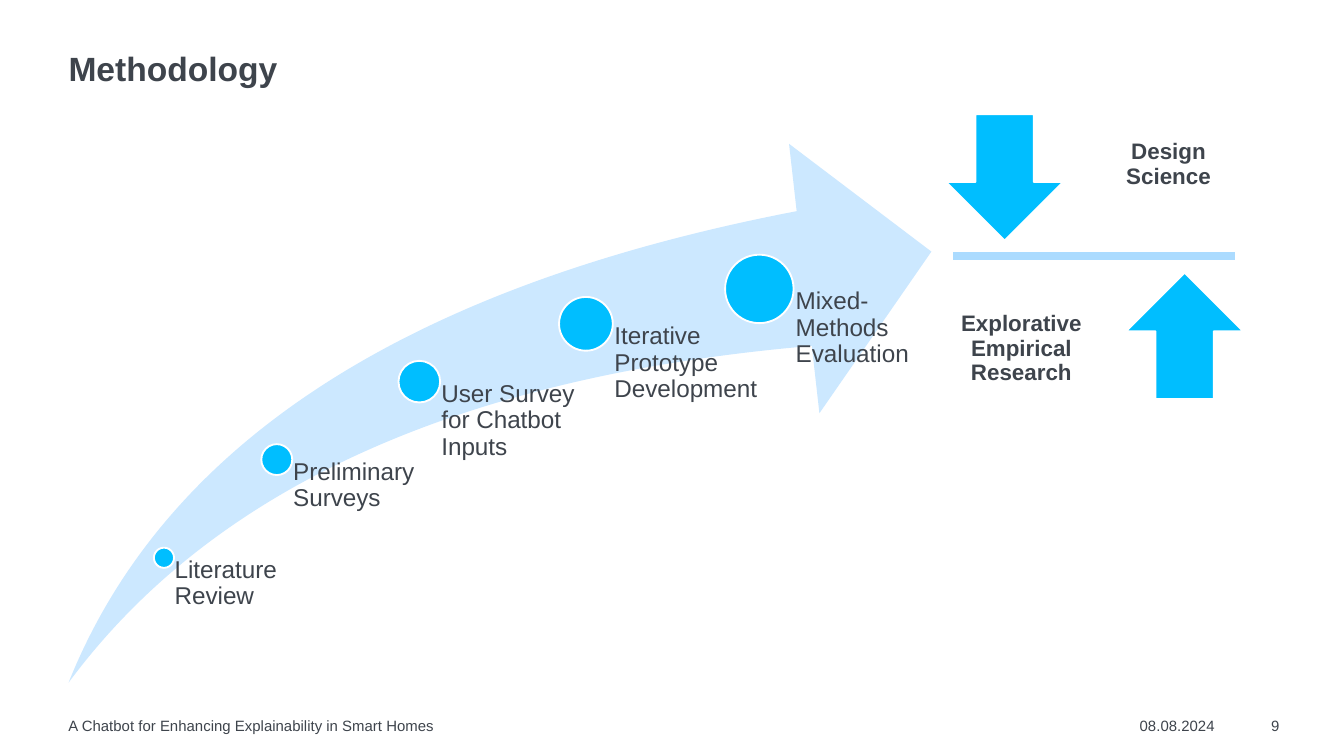
from pptx import Presentation
from pptx.dml.color import RGBColor
from pptx.enum.shapes import MSO_SHAPE
from pptx.enum.text import MSO_ANCHOR, MSO_AUTO_SIZE, PP_ALIGN
from pptx.util import Inches, Pt

SWOOSH, CIRCLE, MINUS = MSO_SHAPE.SWOOSH_ARROW, MSO_SHAPE.OVAL, MSO_SHAPE.MATH_MINUS
DOWN, UP = MSO_SHAPE.DOWN_ARROW, MSO_SHAPE.UP_ARROW
TOP, MIDDLE = MSO_ANCHOR.TOP, MSO_ANCHOR.MIDDLE
LEFT, CENTER, RIGHT = PP_ALIGN.LEFT, PP_ALIGN.CENTER, PP_ALIGN.RIGHT
NO_AUTOFIT = MSO_AUTO_SIZE.NONE

SLIDE_WIDTH = 10
SLIDE_HEIGHT = SLIDE_WIDTH * 9 / 16
FONT, INK, WHITE = "Arial", "3E444C", "FFFFFF"
BLUE, PALE_BLUE, BAR_BLUE = "00BEFF", "CCE8FF", "ABDBFF"

TITLE = ("Methodology", (0.51, 0.39, 9.02, 0.47))
SWOOSH_BOX = (0.51, 1.07, 6.42, 4.01)
LABEL_BOTTOM = 5.1
INSET_RATIO = 0.53

# label, circle centre x, centre y, diameter, label width
STEPS = [
    ("Literature Review", 1.22, 4.15, 0.15, 0.84),
    ("Preliminary Surveys", 2.06, 3.42, 0.23, 1.07),
    ("User Survey for Chatbot Inputs", 3.12, 2.84, 0.31, 1.24),
    ("Iterative Prototype Development", 4.36, 2.41, 0.4, 1.28),
    ("Mixed-Methods Evaluation", 5.65, 2.15, 0.51, 1.28),
]
BALANCE_SHAPES = [
    (MINUS, (6.7, 1.74, 2.88, 0.33), BAR_BLUE),
    (DOWN, (7.04, 0.85, 0.87, 0.94), BLUE),
    (UP, (8.38, 2.03, 0.87, 0.94), BLUE),
]
APPROACHES = [
    ("Design Science", (8.23, 0.73, 0.93, 0.99)),
    ("Explorative Empirical Research", (6.82, 2.1, 1.56, 0.99)),
]
FOOTERS = [
    ("9", (9.28, 5.33, 0.24, 0.13), RIGHT),
    ("08.08.2024", (8.48, 5.33, 0.58, 0.13), LEFT),
    ("A Chatbot for Enhancing Explainability in Smart Homes", (0.51, 5.33, 6.63, 0.13), LEFT),
]


def color(value):
    """Turn a hex string into a colour."""
    return RGBColor.from_string(value)


def write(shape, text, size, bold=False, align=LEFT, anchor=TOP, insets=(0, 0, 0, 0), spacing=0.9):
    """Fill a shape's text frame with one formatted paragraph."""
    frame = shape.text_frame
    frame.word_wrap = True
    frame.auto_size = NO_AUTOFIT
    frame.vertical_anchor = anchor
    frame.margin_left, frame.margin_top, frame.margin_right, frame.margin_bottom = map(Inches, insets)
    paragraph = frame.paragraphs[0]
    paragraph.alignment = align
    paragraph.line_spacing = spacing
    run = paragraph.add_run()
    run.text = text
    run.font.name = FONT
    run.font.size = Pt(size)
    run.font.bold = bold
    run.font.color.rgb = color(INK)


def add_text(slide, box, text, size, **options):
    """Add a text box."""
    write(slide.shapes.add_textbox(*map(Inches, box)), text, size, **options)


def add_shape(slide, kind, box, fill, outlined=True):
    """Add a filled shape, with a white outline unless told otherwise."""
    shape = slide.shapes.add_shape(kind, *map(Inches, box))
    shape.shadow.inherit = False
    shape.fill.solid()
    shape.fill.fore_color.rgb = color(fill)
    if outlined:
        shape.line.color.rgb = color(WHITE)
        shape.line.width = Pt(1)
    else:
        shape.line.fill.background()
    return shape


def add_title(slide):
    """Place and write the slide title."""
    text, box = TITLE
    title = slide.shapes.title
    title.left, title.top, title.width, title.height = map(Inches, box)
    write(title, text, 18, bold=True)


def add_process(slide):
    """Draw the swoosh with its growing circles and step labels."""
    swoosh = add_shape(slide, SWOOSH, SWOOSH_BOX, PALE_BLUE, outlined=False)
    swoosh.adjustments[0] = swoosh.adjustments[1] = 0.25
    for label, x, y, diameter, width in STEPS:
        radius = diameter / 2
        add_shape(slide, CIRCLE, (x - radius, y - radius, diameter, diameter), BLUE)
        add_text(slide, (x, y, width, LABEL_BOTTOM - y), label, 13,
                 insets=(diameter * INSET_RATIO, 0, 0, 0))


def add_balance(slide):
    """Draw the two opposing approaches around the bar."""
    for kind, box, fill in BALANCE_SHAPES:
        add_shape(slide, kind, box, fill)
    for text, box in APPROACHES:
        add_text(slide, box, text, 12, bold=True, align=CENTER, anchor=MIDDLE, insets=(0.09,) * 4)


def main():
    """Build and save the presentation."""
    presentation = Presentation()
    presentation.slide_width = Inches(SLIDE_WIDTH)
    presentation.slide_height = Inches(SLIDE_HEIGHT)
    slide = presentation.slides.add_slide(presentation.slide_layouts[5])
    add_title(slide)
    add_process(slide)
    for text, box, align in FOOTERS:
        add_text(slide, box, text, 8, align=align, spacing=1.0)
    add_balance(slide)
    presentation.save("out.pptx")


if __name__ == "__main__":
    main()
